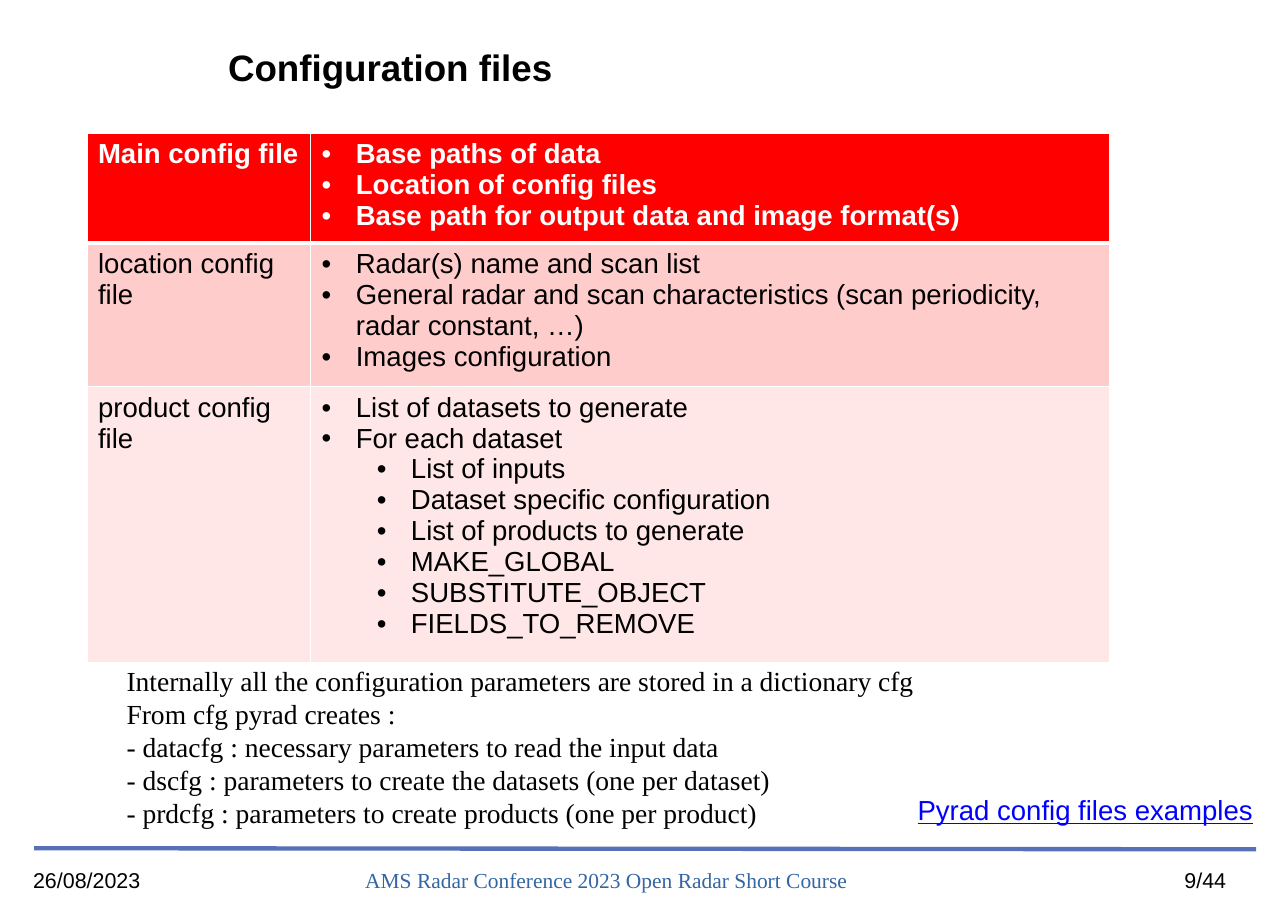
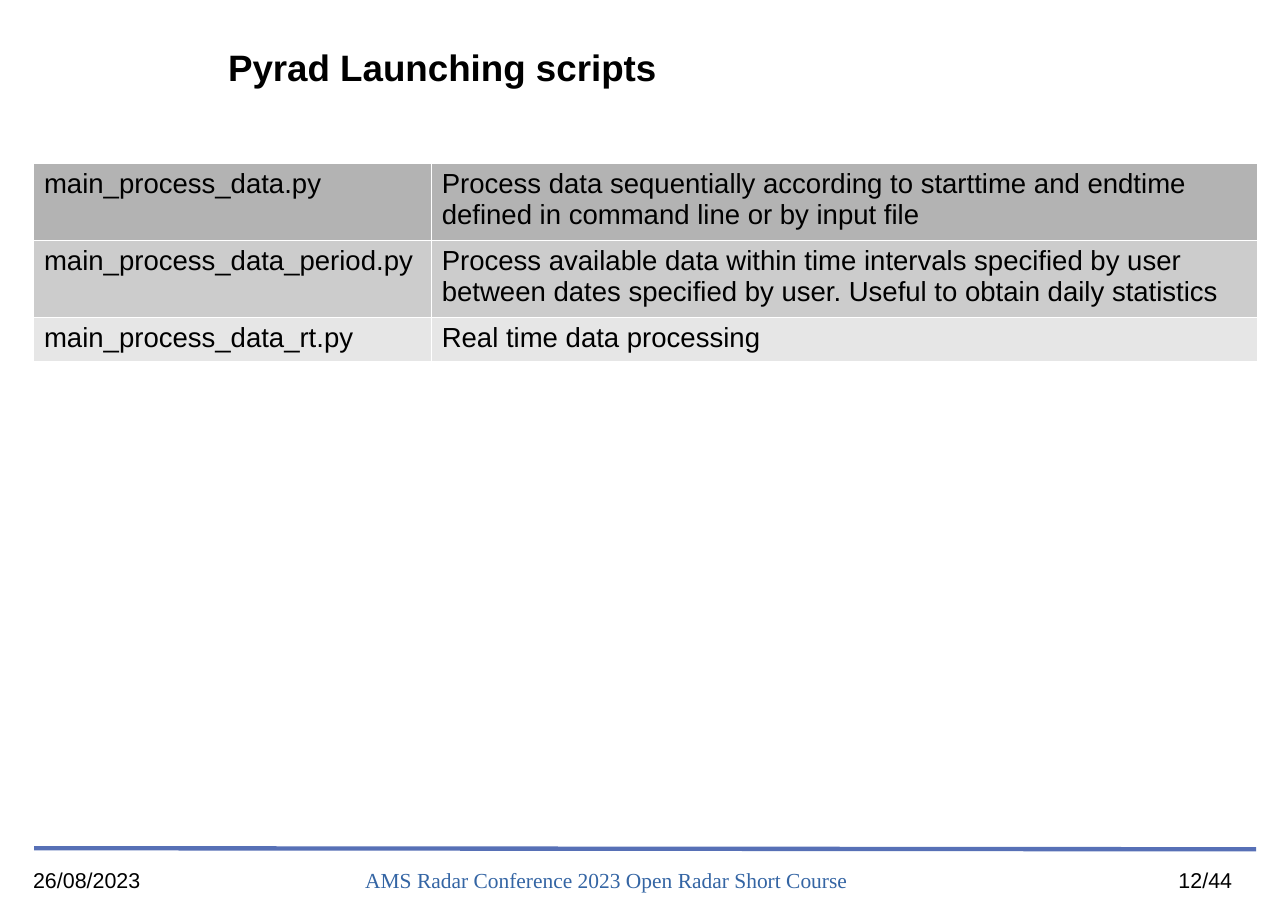
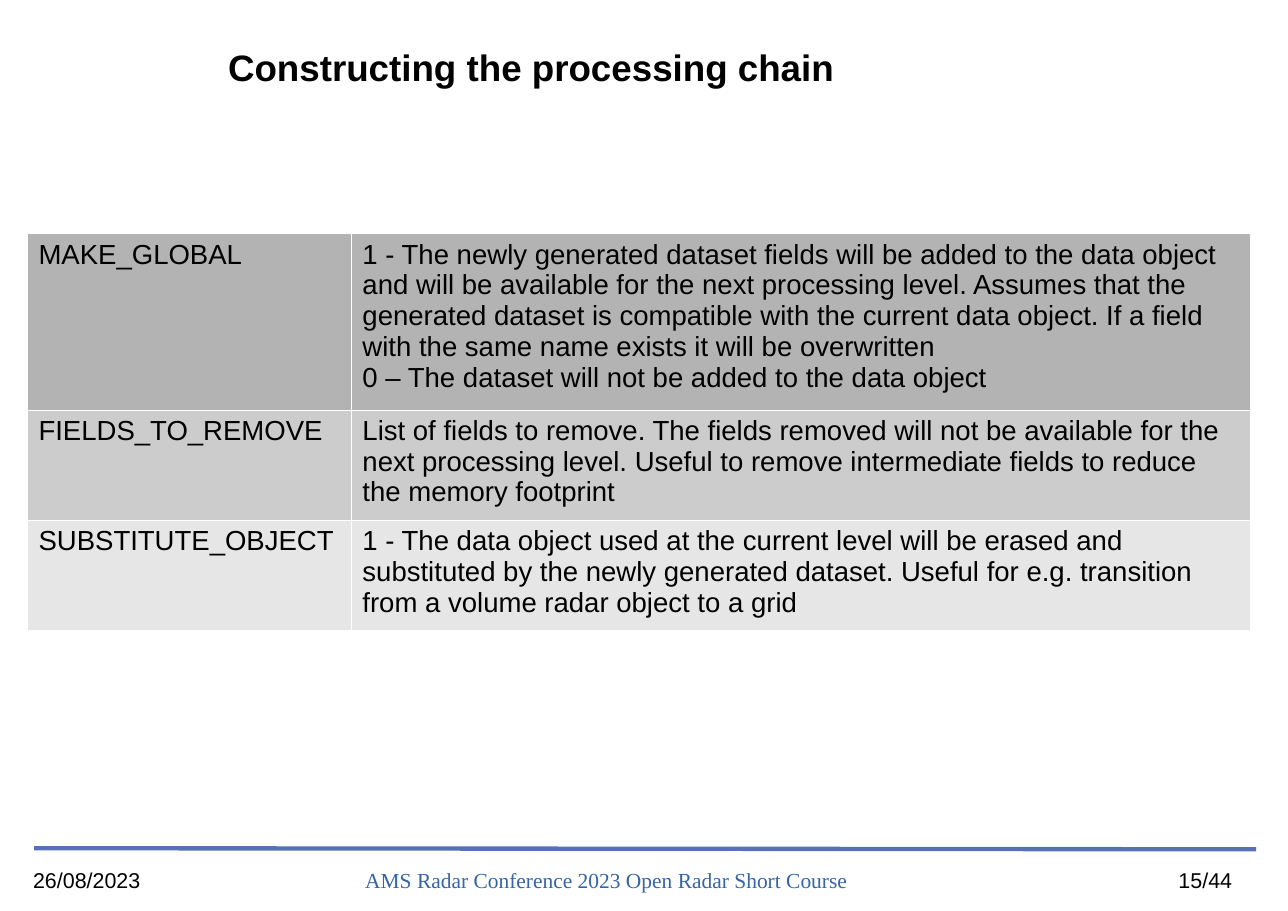
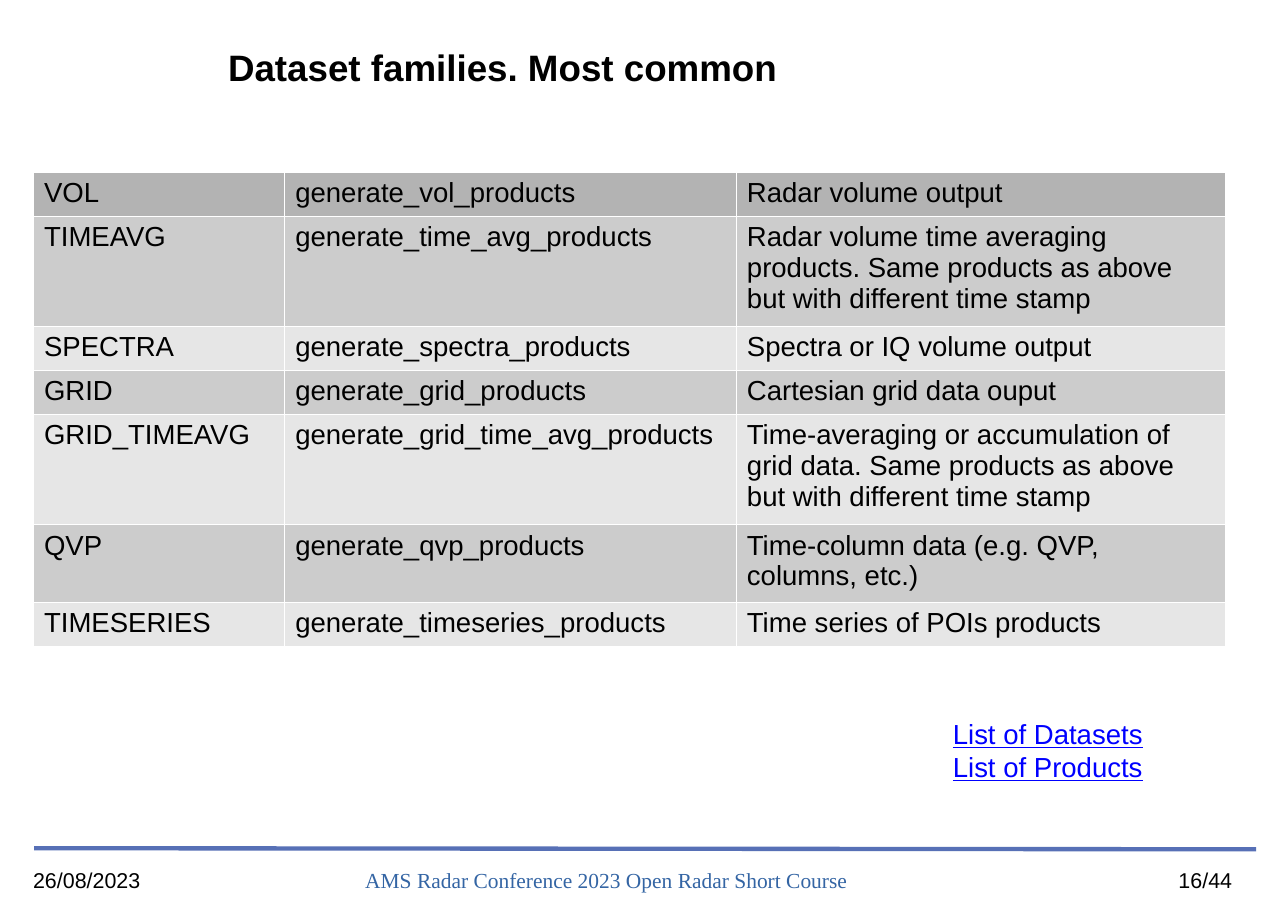
from pptx import Presentation
from pptx.dml.color import RGBColor
from pptx.enum import shapes, text
from pptx.oxml import parse_xml
from pptx.oxml.ns import nsdecls
from pptx.util import Inches, Pt

SANS, SERIF = "Arial", "Times New Roman"
BLACK, WHITE, LINK, RULE, COURSE = "000000", "FFFFFF", "0000FF", "5770B6", "3465A4"
GREYS = ["B3B3B3", "CCCCCC", "E6E6E6"]
REDS = ["FF0000", "FFCCCC", "FFE7E7"]
PAD, LINE = 0.1, 0.28


def rgb(code):
    return RGBColor.from_string(code)


def xml(tag, attrs, inner=""):
    return parse_xml(f"<a:{tag} {nsdecls('a')} {attrs}>{inner}</a:{tag}>")


def paint(code):
    return f'<a:solidFill><a:srgbClr val="{code}"/></a:solidFill>'


def write(frame, lines, size=18, font=SANS, color=BLACK, bold=False,
          under=False, align=None, lead=None):
    """Fill a text frame, one paragraph per line; lead is line spacing in ems."""
    for i, line in enumerate(lines):
        para = frame.paragraphs[0] if i == 0 else frame.add_paragraph()
        para.alignment = align
        if lead:
            para.line_spacing = Pt(size * lead)
        run = para.add_run()
        run.text = line
        face = run.font
        face.name, face.size, face.bold = font, Pt(size), bold
        face.underline = under
        face.color.rgb = rgb(color)


def inset(frame, side, edge):
    frame.margin_left = frame.margin_right = Inches(side)
    frame.margin_top = frame.margin_bottom = Inches(edge)


def label(slide, box, lines, side=0, edge=0, **style):
    frame = slide.shapes.add_textbox(*map(Inches, box)).text_frame
    frame.word_wrap = True
    inset(frame, side, edge)
    write(frame, lines, lead=1.2, **style)


def note(slide, box, lines, **style):
    label(slide, box, lines, side=0.1, edge=0.05, **style)


def links(slide, box, lines):
    note(slide, box, lines, color=LINK, under=True)


def title(slide, words):
    box = map(Inches, (2.07, 0.27, 9.24, 0.67))
    shape = slide.shapes.add_shape(shapes.MSO_SHAPE.RECTANGLE, *box)
    shape.shadow.inherit = False
    shape.fill.solid()
    shape.fill.fore_color.rgb = rgb(WHITE)
    shape.line.fill.background()
    frame = shape.text_frame
    frame.word_wrap = True
    frame.vertical_anchor = text.MSO_ANCHOR.MIDDLE
    inset(frame, 0, 0)
    write(frame, [words], size=24, bold=True, align=text.PP_ALIGN.LEFT)


def footer(slide, number):
    ends = map(Inches, (0.31, 7.7, 11.4, 7.71))
    rule = slide.shapes.add_connector(shapes.MSO_CONNECTOR.STRAIGHT, *ends)
    rule.line.color.rgb = rgb(RULE)
    rule.line.width = Pt(2.83)
    rule._element.spPr.append(xml("effectLst", ""))
    mid = text.PP_ALIGN.CENTER
    label(slide, (0.3, 7.87, 2.72, 0.57), ["26/08/2023"], size=14)
    label(slide, (1.49, 7.87, 8.03, 0.39),
          ["AMS Radar Conference 2023 Open Radar Short Course"],
          size=14, font=SERIF, color=COURSE, align=mid)
    label(slide, (10.37, 7.87, 1.14, 0.23), [f"{number}/44"], size=14, align=mid)


def border(cell, top, low, side):
    """Draw white cell edges of the given widths in points."""
    widths = {"lnL": side, "lnR": side, "lnT": top, "lnB": low}
    props = cell._tc.get_or_add_tcPr()
    for i, (tag, width) in enumerate(widths.items()):
        props.insert(i, xml(tag, f'w="{Pt(width)}"', paint(WHITE)))


def bullet(para, level, color):
    props = para._p.get_or_add_pPr()
    para.level = level
    props.set("marL", str(Inches(0.31 + 0.5 * level)))
    props.set("indent", str(Inches(-0.31)))
    props.append(xml("buClr", "", f'<a:srgbClr val="{color}"/>'))
    props.append(xml("buFont", f'typeface="{SANS}"'))
    props.append(xml("buChar", 'char="•"'))


def table(slide, left, top, cols, rows, fills, edge=0.06, head=False):
    """Rows are (line count, cell, cell, ...); a list cell is bulleted, and
    head sets off the first row."""
    tall = [PAD + LINE * row[0] for row in rows]
    box = map(Inches, (left, top, sum(cols), sum(tall)))
    grid = slide.shapes.add_table(len(rows), len(cols), *box).table
    grid.first_row = grid.horz_banding = False
    for col, width in zip(grid.columns, cols):
        col.width = Inches(width)
    for r, (_, *cells) in enumerate(rows):
        grid.rows[r].height = Inches(tall[r])
        first = head and r == 0
        color = WHITE if first else BLACK
        shade = fills[0] if r == 0 else fills[2 - r % 2]
        for c, body in enumerate(cells):
            cell = grid.cell(r, c)
            inset(cell, 0.1, 0.05)
            cell.fill.solid()
            cell.fill.fore_color.rgb = rgb(shade)
            border(cell, 3 if head and r == 1 else edge, 3 if first else edge, edge)
            if isinstance(body, list):
                write(cell.text_frame, [line for _, line in body],
                      color=color, bold=first)
                for para, (level, _) in zip(cell.text_frame.paragraphs, body):
                    bullet(para, level, color)
            else:
                write(cell.text_frame, body.split("\n"), color=color, bold=first)


def config(slide):
    table(slide, 0.79, 1.21, [2.03, 7.25], [
        (3, "Main config file", [
            (0, "Base paths of data"),
            (0, "Location of config files"),
            (0, "Base path for output data and image format(s)")]),
        (4, "location config file", [
            (0, "Radar(s) name and scan list"),
            (0, "General radar and scan characteristics (scan periodicity, "
                "radar constant, …)"),
            (0, "Images configuration")]),
        (8, "product config file", [
            (0, "List of datasets to generate"),
            (0, "For each dataset"),
            (1, "List of inputs"),
            (1, "Dataset specific configuration"),
            (1, "List of products to generate"),
            (1, "MAKE_GLOBAL"),
            (1, "SUBSTITUTE_OBJECT"),
            (1, "FIELDS_TO_REMOVE")]),
    ], REDS, edge=0.96, head=True)
    note(slide, (1.05, 5.98, 7.38, 1.48), [
        "Internally all the configuration parameters are stored in a dictionary cfg",
        "From cfg pyrad creates :",
        "- datacfg : necessary parameters to read the input data",
        "- dscfg : parameters to create the datasets (one per dataset)",
        "- prdcfg : parameters to create products (one per product)"], font=SERIF)
    links(slide, (8.23, 7.15, 3.28, 0.4), ["Pyrad config files examples"])


def scripts(slide):
    table(slide, 0.3, 1.48, [3.61, 7.5], [
        (2, "main_process_data.py",
         "Process data sequentially according to starttime and endtime "
         "defined in command line or by input file"),
        (2, "main_process_data_period.py",
         "Process available data within time intervals specified by user "
         "between dates specified by user. Useful to obtain daily statistics"),
        (1, "main_process_data_rt.py", "Real time data processing"),
    ], GREYS)


def chain(slide):
    table(slide, 0.25, 2.12, [2.94, 8.16], [
        (5, "MAKE_GLOBAL",
         "1 - The newly generated dataset fields will be added to the data "
         "object and will be available for the next processing level. Assumes "
         "that the generated dataset is compatible with the current data "
         "object. If a field with the same name exists it will be overwritten\n"
         "0 – The dataset will not be added to the data object"),
        (3, "FIELDS_TO_REMOVE",
         "List of fields to remove. The fields removed will not be available "
         "for the next processing level. Useful to remove intermediate fields "
         "to reduce the memory footprint"),
        (3, "SUBSTITUTE_OBJECT",
         "1 - The data object used at the current level will be erased and "
         "substituted by the newly generated dataset. Useful for e.g. "
         "transition from a volume radar object to a grid"),
    ], GREYS)


def families(slide):
    same = "Same products as above but with different time stamp"
    table(slide, 0.3, 1.56, [2.28, 4.1, 4.44], [
        (1, "VOL", "generate_vol_products", "Radar volume output"),
        (3, "TIMEAVG", "generate_time_avg_products",
         f"Radar volume time averaging products. {same}"),
        (1, "SPECTRA", "generate_spectra_products", "Spectra or IQ volume output"),
        (1, "GRID", "generate_grid_products", "Cartesian grid data ouput"),
        (3, "GRID_TIMEAVG", "generate_grid_time_avg_products",
         f"Time-averaging or accumulation of grid data. {same}"),
        (2, "QVP", "generate_qvp_products",
         "Time-column data (e.g. QVP, columns, etc.)"),
        (1, "TIMESERIES", "generate_timeseries_products",
         "Time series of POIs products"),
    ], GREYS)
    links(slide, (8.55, 6.46, 2, 0.71), ["List of Datasets", "List of Products"])


def main():
    deck = Presentation()
    deck.slide_width, deck.slide_height = Inches(11.69), Inches(8.27)
    pages = [
        ("Configuration files", 9, config),
        ("Pyrad Launching scripts", 12, scripts),
        ("Constructing the processing chain", 15, chain),
        ("Dataset families. Most common", 16, families),
    ]
    for words, number, body in pages:
        slide = deck.slides.add_slide(deck.slide_layouts[6])
        title(slide, words)
        footer(slide, number)
        body(slide)
    deck.save("out.pptx")


if __name__ == "__main__":
    main()
